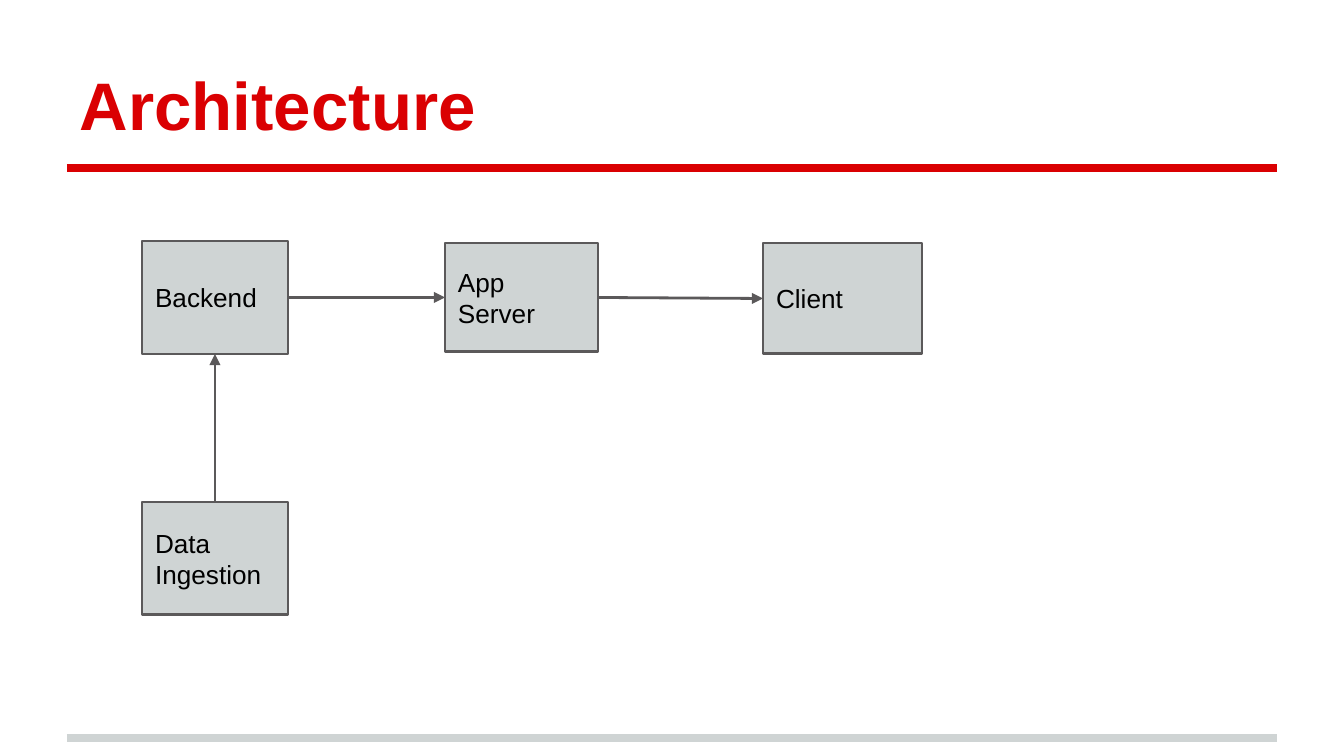
from lxml.etree import SubElement
from pptx import Presentation
from pptx.dml.color import RGBColor as Color
from pptx.enum.shapes import MSO_CONNECTOR as Connector, MSO_SHAPE as Shape
from pptx.enum.text import MSO_ANCHOR as Anchor, PP_ALIGN as Align
from pptx.oxml.ns import qn
from pptx.util import Emu, Pt

# Content: lengths in pixels
SLIDE_SIZE = (1344, 756)
TITLE = ("Architecture", (67, 31, 1210, 126))
RULES = [("gray", 738), ("red", 168)]  # colour, height on the slide
RULE_ENDS = (67, 1277)
BOXES = {  # label: left, top, width, height
    "Backend": (142, 241, 146, 113),
    "App Server": (445, 243, 153, 109),
    "Client": (763, 243, 159, 111),
    "Data Ingestion": (142, 502, 146, 113),
}
TOP, LEFT, BOTTOM, RIGHT = range(4)  # connection sites of a rectangle
ARROWS = [
    ("Backend", RIGHT, "App Server", LEFT),
    ("App Server", RIGHT, "Client", LEFT),
    ("Data Ingestion", TOP, "Backend", BOTTOM),
]

THEME = {
    "font": "Arial",
    "red": Color.from_string("DA0002"),
    "gray": Color.from_string("CFD4D4"),
    "dark": Color.from_string("5B595A"),
    "black": Color.from_string("000000"),
    "title_size": 36, "box_size": 14,
    "rule_width": 4, "line_width": 1.5,
}
INSET = 13


def px(value):
    return Emu(round(value * 914400 / 134.4))


def write(shape, text, size, color, anchor, bold=False):
    frame = shape.text_frame
    frame.word_wrap = True
    frame.vertical_anchor = anchor
    frame.margin_left = frame.margin_right = px(INSET)
    frame.margin_top = frame.margin_bottom = px(INSET)
    paragraph = frame.paragraphs[0]
    paragraph.alignment = Align.LEFT
    run = paragraph.add_run()
    run.text = text
    run.font.name = THEME["font"]
    run.font.size = Pt(size)
    run.font.bold = bold
    run.font.color.rgb = THEME[color]


def add_line(slide, color, width, ends=(0, 0, 0, 0)):
    line = slide.shapes.add_connector(Connector.STRAIGHT, *map(px, ends))
    line.line.color.rgb = THEME[color]
    line.line.width = Pt(width)
    SubElement(line._element.spPr, qn("a:effectLst"))
    return line


presentation = Presentation()
presentation.slide_width, presentation.slide_height = map(px, SLIDE_SIZE)
slide = presentation.slides.add_slide(presentation.slide_layouts[6])

# Rules under the title and at the foot
for color, y in RULES:
    add_line(slide, color, THEME["rule_width"], (RULE_ENDS[0], y, RULE_ENDS[1], y))

# Title
title, title_area = TITLE
title_box = slide.shapes.add_textbox(*map(px, title_area))
write(title_box, title, THEME["title_size"], "red", Anchor.BOTTOM, bold=True)

# Component boxes
components = {}
for label, area in BOXES.items():
    box = slide.shapes.add_shape(Shape.RECTANGLE, *map(px, area))
    box.shadow.inherit = False
    box.fill.solid()
    box.fill.fore_color.rgb = THEME["gray"]
    box.line.color.rgb = THEME["dark"]
    box.line.width = Pt(THEME["line_width"])
    write(box, label, THEME["box_size"], "black", Anchor.MIDDLE)
    components[label] = box

# Arrows glued to the boxes
for source, source_site, target, target_site in ARROWS:
    arrow = add_line(slide, "dark", THEME["line_width"])
    arrow.begin_connect(components[source], source_site)
    arrow.end_connect(components[target], target_site)
    SubElement(arrow.line._get_or_add_ln(), qn("a:tailEnd"), type="triangle", w="med", len="med")

presentation.save("out.pptx")
